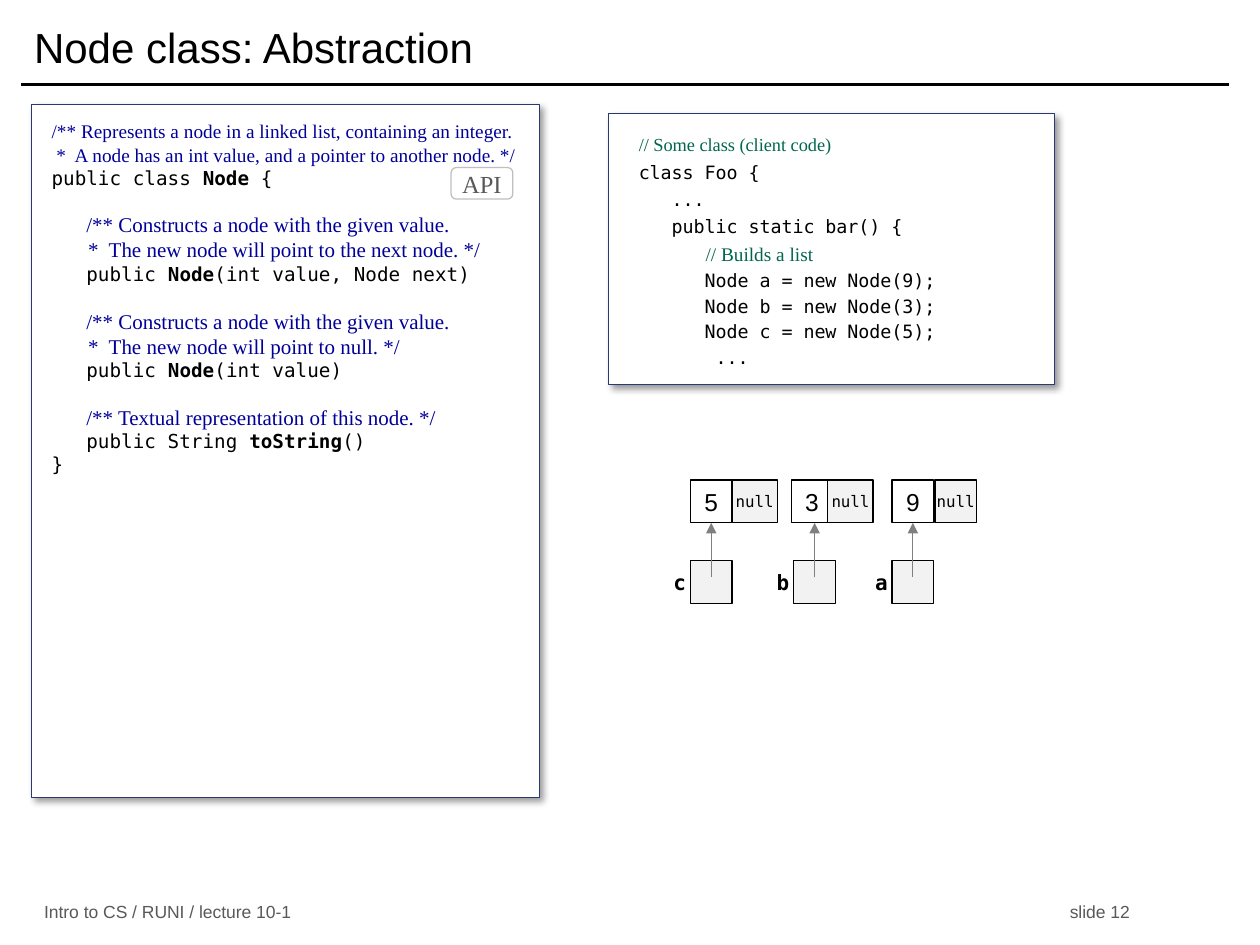
import pptx
import pptx.util
import pptx.dml.color
import pptx.enum.shapes
import pptx.enum.text
import pptx.oxml
from collections import namedtuple
from dataclasses import dataclass

Pt = pptx.util.Pt
SHAPE = pptx.enum.shapes.MSO_SHAPE
ALIGN = pptx.enum.text.PP_ALIGN
ANCHOR = pptx.enum.text.MSO_ANCHOR
NS = 'xmlns:a="http://schemas.openxmlformats.org/drawingml/2006/main"'
Box = namedtuple("Box", "x y w h")  # in grid columns and rows


@dataclass(frozen=True)
class Theme:
    sans: str = "Arial"
    serif: str = "Times New Roman"
    mono: str = "DejaVu Sans Mono"
    ink: str = "000000"
    paper: str = "FFFFFF"
    cell: str = "F2F2F2"
    grey: str = "595959"
    arrow: str = "808080"
    badge: str = "BFBFBF"
    frame: str = "293973"
    doc: str = "000099"
    comment: str = "00664D"
    title: float = 24
    value: float = 14
    label: float = 12
    code: float = 11
    client: float = 10.5
    footer: float = 10
    small: float = 9
    thin: float = 0.75


T = Theme()
prs = pptx.Presentation()
prs.slide_width, prs.slide_height = pptx.util.Inches(10), pptx.util.Inches(7.5)
COL, ROW = prs.slide_width / 100, prs.slide_height / 75


def rgb(color):
    return pptx.dml.color.RGBColor.from_string(color)


def emu(box):
    return [round(v * unit) for v, unit in zip(box, (COL, ROW, COL, ROW))]


def style(font, face, size, color, bold=False):
    font.name, font.size, font.bold = face, Pt(size), bold
    font.color.rgb = rgb(color)


def set_frame(tf, left=0, top=0, anchor=ANCHOR.MIDDLE):
    tf.word_wrap = True
    tf.margin_left, tf.margin_top = round(left * COL), round(top * ROW)
    tf.margin_right = tf.margin_bottom = 0
    tf.vertical_anchor = anchor
    return tf


def write(tf, text, face, size, color, align=ALIGN.CENTER, bold=False):
    p = tf.paragraphs[0]
    p.text, p.alignment = text, align
    style(p.font, face, size, color, bold)


def add_box(s, box, line, fill=T.paper, kind=SHAPE.RECTANGLE):
    sp = s.shapes.add_shape(kind, *emu(box))
    sp.shadow.inherit = False
    sp.fill.solid()
    sp.fill.fore_color.rgb = rgb(fill)
    sp.line.color.rgb = rgb(line)
    sp.line.width = Pt(T.thin)
    set_frame(sp.text_frame)
    return sp


def add_text(s, box, *args, **kwargs):
    sp = s.shapes.add_textbox(*emu(box))
    write(set_frame(sp.text_frame), *args, **kwargs)


def add_line(s, x1, y1, x2, y2, color, width, arrow=False):
    start, end = emu((x1, y1)), emu((x2, y2))
    line = s.shapes.add_connector(pptx.enum.shapes.MSO_CONNECTOR.STRAIGHT, *start, *end)
    line.line.color.rgb = rgb(color)
    line.line.width = Pt(width)
    if arrow:
        line.line._get_or_add_ln().append(
            pptx.oxml.parse_xml(f'<a:tailEnd {NS} type="triangle"/>'))
    line._element.spPr.append(pptx.oxml.parse_xml(f"<a:effectLst {NS}/>"))


def add_code_panel(s, box, left, top, lines):
    """Lines are (text, bold name, face, size, color, indent, space before)."""
    sp = add_box(s, box, T.frame)
    effects = sp._element.spPr.find(pptx.oxml.ns.qn("a:effectLst"))
    effects.append(pptx.oxml.parse_xml(
        f'<a:outerShdw {NS} blurRad="{Pt(4)}" dist="{Pt(3)}" dir="2700000" algn="tl" rotWithShape="0">'
        '<a:srgbClr val="000000"><a:alpha val="40000"/></a:srgbClr></a:outerShdw>'))
    tf = set_frame(sp.text_frame, left, top, ANCHOR.TOP)
    for i, (text, name, face, size, color, indent, before) in enumerate(lines):
        p = tf.add_paragraph() if i else tf.paragraphs[0]
        p.alignment, p.space_before = ALIGN.LEFT, Pt(before if i else 0)
        p._p.get_or_add_pPr().set("marL", str(round(indent * COL)))
        style(p.font, face, size, color)
        for part in text.partition(name) if name else (text,):
            r = p.add_run()
            r.text = part
            if name and part == name:
                r.font.bold = True


def add_heading(s, box):
    title = s.shapes.title
    title.left, title.top, title.width, title.height = emu(box)
    tf = set_frame(title.text_frame, left=1)
    write(tf, "Node class: Abstraction", T.sans, T.title, T.ink, ALIGN.LEFT)
    rule = box.y + box.h + 0.1
    add_line(s, box.x, rule, box.x + box.w, rule, T.ink, 2)


def add_api(s, box):
    def code(text, name=None, before=0):
        return text, name, T.mono, T.code, T.ink, 0, before

    def doc(text, size=T.label, indent=2.76, before=0):
        return text, None, T.serif, size, T.doc, indent, before

    gap = 13  # one empty code line
    add_code_panel(s, box, 1.6, 1.2, [
        doc("/** Represents a node in a linked list, containing an integer.", T.code, 0),
        doc(" *  A node has an int value, and a pointer to another node. */", T.code, 0),
        code("public class Node {", "Node"),
        doc("/** Constructs a node with the given value.", before=gap),
        doc("*  The new node will point to the next node. */", indent=2.9),
        code("   public Node(int value, Node next)", "Node"),
        doc("/** Constructs a node with the given value.", before=gap),
        doc("*  The new node will point to null. */", indent=2.9),
        code("   public Node(int value)", "Node"),
        doc("/** Textual representation of this node. */", before=gap),
        code("   public String toString()", "toString"),
        code("}"),
    ])
    badge = add_box(s, Box(box.x + 33.3, box.y + 5, 4.9, 2.5), T.badge,
                    kind=SHAPE.ROUNDED_RECTANGLE)
    write(badge.text_frame, "API", T.serif, T.value, T.grey)


def add_client(s, box):
    def code(text, before=3):
        return text, None, T.mono, T.client, T.ink, 0, before

    def note(text, size, indent=0):
        return text, None, T.serif, size, T.comment, indent, 3

    add_code_panel(s, box, 2.4, 1.6, [
        note("// Some class (client code)", T.client),
        code("class Foo {"),
        code("   ..."),
        code("   public static bar() {"),
        note("// Builds a list", T.code, 5.3),
        *(code(f"      Node {name} = new Node({value});", 2)
          for name, value in (("a", 9), ("b", 3), ("c", 5))),
        code("       ...", 2),
    ])


def add_node(s, box, name, value, shift, link_x, link_w):
    """A variable cell below, pointing up to a value cell with its null link."""
    cell = 3.4
    low = box.y + box.h - cell
    add_text(s, Box(box.x - 2.35, low, 3, cell), name, T.mono, T.label, T.ink, bold=True)
    add_box(s, Box(box.x, low, box.w, cell), T.ink, T.cell)
    number = add_box(s, Box(box.x + shift, box.y, box.w, cell), T.ink)
    write(number.text_frame, value, T.sans, T.value, T.ink)
    link = add_box(s, Box(box.x + link_x, box.y, link_w, cell), T.ink, T.cell)
    write(link.text_frame, "null", T.mono, T.small, T.ink)
    mid = box.x + box.w / 2
    add_line(s, mid, low + 1.3, mid, box.y + cell, T.arrow, T.thin, arrow=True)


def add_footer(s, box):
    for x, text in ((0, "Intro to CS / RUNI / lecture 10-1"), (81.4, "slide 12")):
        add_text(s, Box(box.x + x, box.y, 30 if x == 0 else box.w - x, box.h),
                 text, T.sans, T.footer, T.grey, align=ALIGN.LEFT)


def main():
    s = prs.slides.add_slide(prs.slide_layouts[5])
    add_heading(s, Box(1.7, 0.8, 95.8, 5.8))
    add_api(s, Box(2.5, 8.3, 40.3, 55))
    add_client(s, Box(48.3, 9, 35.4, 21.5))
    # Linked list nodes: variable, value, and link cell geometry
    for x, name, value, shift, link_x, link_w in (
            (54.8, "c", "5", 0, 3.3, 3.6),
            (63, "b", "3", -0.2, 2.7, 3.6),
            (70.8, "a", "9", 0, 3.4, 3.3)):
        add_node(s, Box(x, 38.1, 3.3, 9.8), name, value, shift, link_x, link_w)
    add_footer(s, Box(3.5, 71.4, 93.2, 1.9))
    prs.save("out.pptx")


if __name__ == "__main__":
    main()
